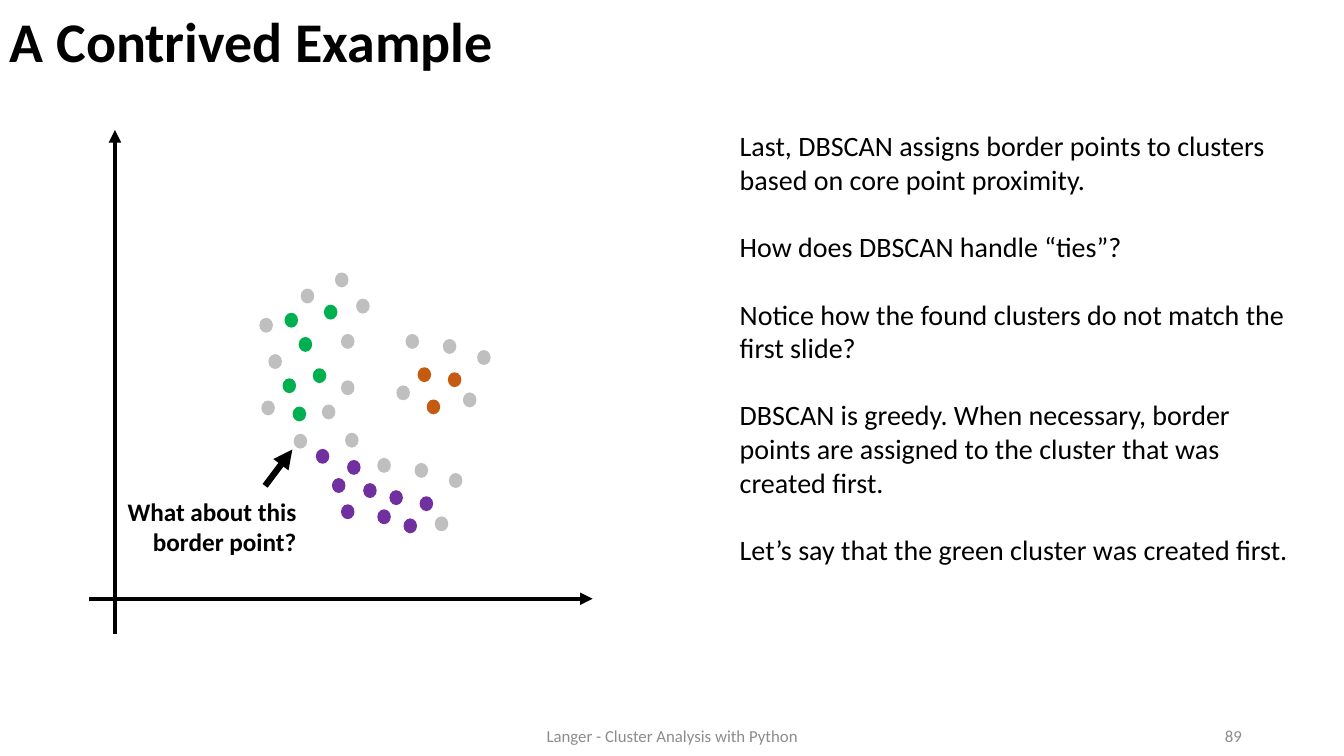
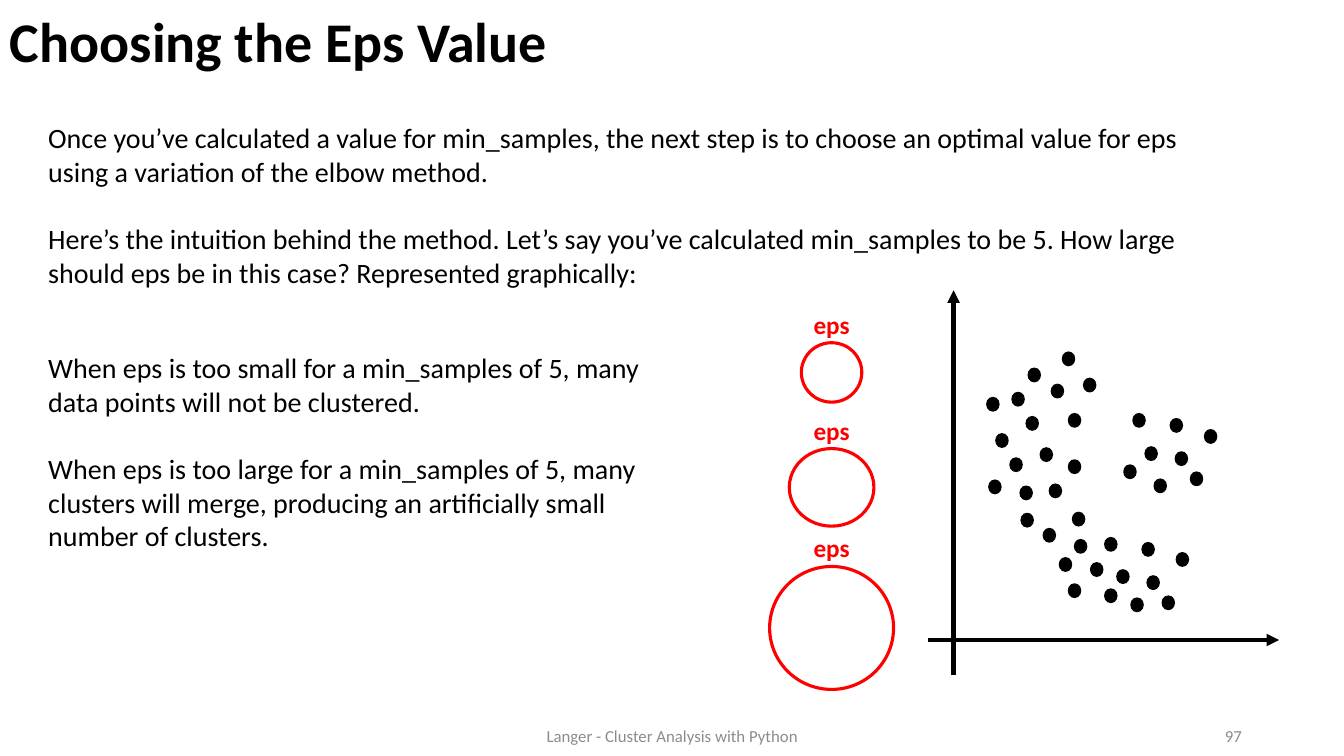
from dataclasses import dataclass
from typing import NamedTuple, Optional

import pptx
import pptx.dml.color
import pptx.enum.shapes
import pptx.enum.text
import pptx.oxml.ns
import pptx.oxml.xmlchemy
import pptx.util
from lxml import etree

ALIGN = pptx.enum.text.PP_ALIGN
ANCHOR = pptx.enum.text.MSO_ANCHOR
OVAL = pptx.enum.shapes.MSO_SHAPE.OVAL
STRAIGHT = pptx.enum.shapes.MSO_CONNECTOR.STRAIGHT

# Grid of square cells: every length below counts columns or rows
COLS, ROWS = 40, 22.5
CELL = pptx.util.Inches(13.33) / COLS


@dataclass(frozen=True)
class Theme:
    font: str = "Calibri"
    black: str = "000000"
    muted: str = "8C8C8C"
    red: str = "FF0000"
    grey: str = "BFBFBF"
    green: str = "00B050"
    purple: str = "7030A0"
    orange: str = "C55A11"
    title: float = 40
    body: float = 20
    label: float = 18
    footer: float = 12
    body_gap: float = 24
    axis: float = 3
    pointer: float = 4.5
    ring: float = 2.25
    dot: float = 1


T = Theme()


class Box(NamedTuple):
    col: float
    row: float
    cols: float
    rows: float


class Spot(NamedTuple):
    col: float
    row: float


class Ring(NamedTuple):
    row: float
    cols: float
    rows: float


@dataclass(frozen=True)
class Style:
    size: float
    color: str = T.black
    bold: bool = False
    align: ALIGN = ALIGN.LEFT
    anchor: ANCHOR = ANCHOR.TOP
    gap: float = 0
    spacing: float = 1.0


TITLE = Style(T.title, bold=True, anchor=ANCHOR.MIDDLE, spacing=0.9)
BODY = Style(T.body, gap=T.body_gap)
NOTE = Style(T.label, bold=True, align=ALIGN.RIGHT)
EPS = Style(T.label, T.red, True, ALIGN.CENTER)
FOOTER = Style(T.footer, T.muted, align=ALIGN.CENTER, anchor=ANCHOR.MIDDLE)
NUMBER = Style(T.footer, T.muted, align=ALIGN.RIGHT, anchor=ANCHOR.MIDDLE)

# Data points, placed from the top left of the point cloud
DOT_COLS, DOT_ROWS = 0.36, 0.4
CLUSTERS: dict[str, list[tuple[float, float]]] = {
    T.green: [
        (1.92, 0.96), (0.99, 3.99), (1.17, 1.92), (0.69, 3.15), (0.75, 1.2), (1.59, 2.85),
    ],
    T.grey: [
        (2.43, 1.83), (1.23, 0.48), (2.43, 3.21), (0.06, 3.81), (2.25, 0),
        (2.88, 0.78), (0, 1.35), (1.02, 4.8), (0.27, 2.43), (2.55, 4.77),
        (1.86, 3.93), (5.22, 7.26), (3.51, 5.52), (4.62, 5.67), (5.64, 5.97),
        (6.06, 3.57), (4.35, 1.83), (4.08, 3.36), (5.46, 1.98), (6.48, 2.31),
    ],
    T.purple: [
        (2.43, 6.9), (3.87, 6.48), (2.16, 6.12), (1.68, 5.25), (3.09, 6.27),
        (4.77, 6.66), (2.61, 5.58), (3.51, 7.05), (4.29, 7.32),
    ],
    T.orange: [(4.71, 2.82), (5.61, 2.97), (4.98, 3.78)],
}


def grid(*cells: float) -> list[pptx.util.Emu]:
    return [pptx.util.Emu(round(n * CELL)) for n in cells]


def rgb(color: str) -> pptx.dml.color.RGBColor:
    return pptx.dml.color.RGBColor.from_string(color)


# Drawing functions
def add_text(shapes, box: Box, style: Style, *paragraphs: str) -> None:
    tf = shapes.add_textbox(*grid(*box)).text_frame
    tf.word_wrap = True
    tf.vertical_anchor = style.anchor
    for i, text in enumerate(paragraphs):
        p = tf.add_paragraph() if i else tf.paragraphs[0]
        p.text = text
        p.alignment = style.align
        p.line_spacing = style.spacing
        if i:
            p.space_before = pptx.util.Pt(style.gap)
        p.font.name = T.font
        p.font.size = pptx.util.Pt(style.size)
        p.font.bold = style.bold
        p.font.color.rgb = rgb(style.color)


def add_oval(shapes, box: Box, color: str, width: float, filled: bool) -> None:
    sp = shapes.add_shape(OVAL, *grid(*box))
    sp.shadow.inherit = False
    if filled:
        sp.fill.solid()
        sp.fill.fore_color.rgb = rgb(color)
    else:
        sp.fill.background()
    sp.line.color.rgb = rgb(color)
    sp.line.width = pptx.util.Pt(width)


def add_arrow(shapes, start: Spot, end: Spot, width: float) -> None:
    c = shapes.add_connector(STRAIGHT, *grid(*start, *end))
    c.line.color.rgb = rgb(T.black)
    c.line.width = pptx.util.Pt(width)
    qn = pptx.oxml.ns.qn
    spPr = c.element.spPr
    etree.SubElement(spPr.find(qn("a:ln")), qn("a:tailEnd"), type="triangle")
    etree.SubElement(spPr, qn("a:effectLst"))


def add_axes(shapes, origin: Spot, right: float, up: float) -> None:
    back, down = 0.77, 1.05
    x, y = origin
    add_arrow(shapes, Spot(x, y + down), Spot(x, y - up), T.axis)
    add_arrow(shapes, Spot(x - back, y), Spot(x + right, y), T.axis)


def add_cloud(shapes, corner: Spot, color: Optional[str] = None) -> None:
    for cluster, points in CLUSTERS.items():
        for col, row in points:
            dot = Box(corner.col + col, corner.row + row, DOT_COLS, DOT_ROWS)
            add_oval(shapes, dot, color or cluster, T.dot, filled=True)


def add_eps_ring(shapes, ring: Ring) -> None:
    center, label_cols, label_rows = 24.75, 2.25, 1.2
    add_oval(shapes, Box(center - ring.cols / 2, ring.row, ring.cols, ring.rows),
             T.red, T.ring, filled=False)
    add_text(shapes, Box(center - label_cols / 2, ring.row - 1.15, label_cols, label_rows),
             EPS, "eps")


def add_slide(prs, title: str, number: int):
    s = prs.slides.add_slide(prs.slide_layouts[6])
    add_text(s.shapes, Box(0, 0.06, 31.92, 2.5), TITLE, title)
    add_text(s.shapes, Box(13.26, 21.3, 13.5, 1.2), FOOTER,
             "Langer - Cluster Analysis with Python")
    add_text(s.shapes, Box(28.26, 21.3, 9, 1.2), NUMBER, str(number))
    return s


# Slides
def contrived_example(prs) -> None:
    s = add_slide(prs, "A Contrived Example", 89)
    add_text(
        s.shapes, Box(21.72, 3.69, 17.46, 13.44), BODY,
        "Last, DBSCAN assigns border points to clusters based on core point proximity.",
        "How does DBSCAN handle “ties”?",
        "Notice how the found clusters do not match the first slide?",
        "DBSCAN is greedy. When necessary, border points are assigned to the cluster "
        "that was created first.",
        "Let’s say that the green cluster was created first.",
    )
    plot = s.shapes.add_group_shape().shapes
    add_cloud(plot, Spot(7.74, 8.13))
    add_axes(plot, Spot(3.42, 17.82), right=14.22, up=13.95)
    add_text(plot, Box(3.18, 14.61, 5.94, 2.13), NOTE, "What about this border point?")
    add_arrow(plot, Spot(7.89, 14.46), Spot(8.7, 13.38), T.pointer)


def choosing_eps(prs) -> None:
    s = add_slide(prs, "Choosing the Eps Value", 97)
    add_text(
        s.shapes, Box(1.14, 3.45, 35.22, 5.34), BODY,
        "Once you’ve calculated a value for min_samples, the next step is to choose "
        "an optimal value for eps using a variation of the elbow method.",
        "Here’s the intuition behind the method. Let’s say you’ve calculated min_samples "
        "to be 5. How large should eps be in this case? Represented graphically:",
    )
    add_text(
        s.shapes, Box(1.14, 10.29, 19.3, 6.36), BODY,
        "When eps is too small for a min_samples of 5, many data points will not be clustered.",
        "When eps is too large for a min_samples of 5, many clusters will merge, "
        "producing an artificially small number of clusters.",
    )
    plot = s.shapes.add_group_shape().shapes
    add_cloud(plot, Spot(29.37, 10.48), T.black)
    add_axes(plot, Spot(28.38, 19.05), right=9.69, up=10.41)
    for ring in (Ring(10.2, 1.8, 1.77), Ring(13.35, 2.52, 2.31), Ring(16.86, 3.69, 3.66)):
        add_eps_ring(s.shapes, ring)


def main() -> None:
    prs = pptx.Presentation()
    prs.slide_width, prs.slide_height = grid(COLS, ROWS)
    contrived_example(prs)
    choosing_eps(prs)
    prs.save("out.pptx")


if __name__ == "__main__":
    main()
